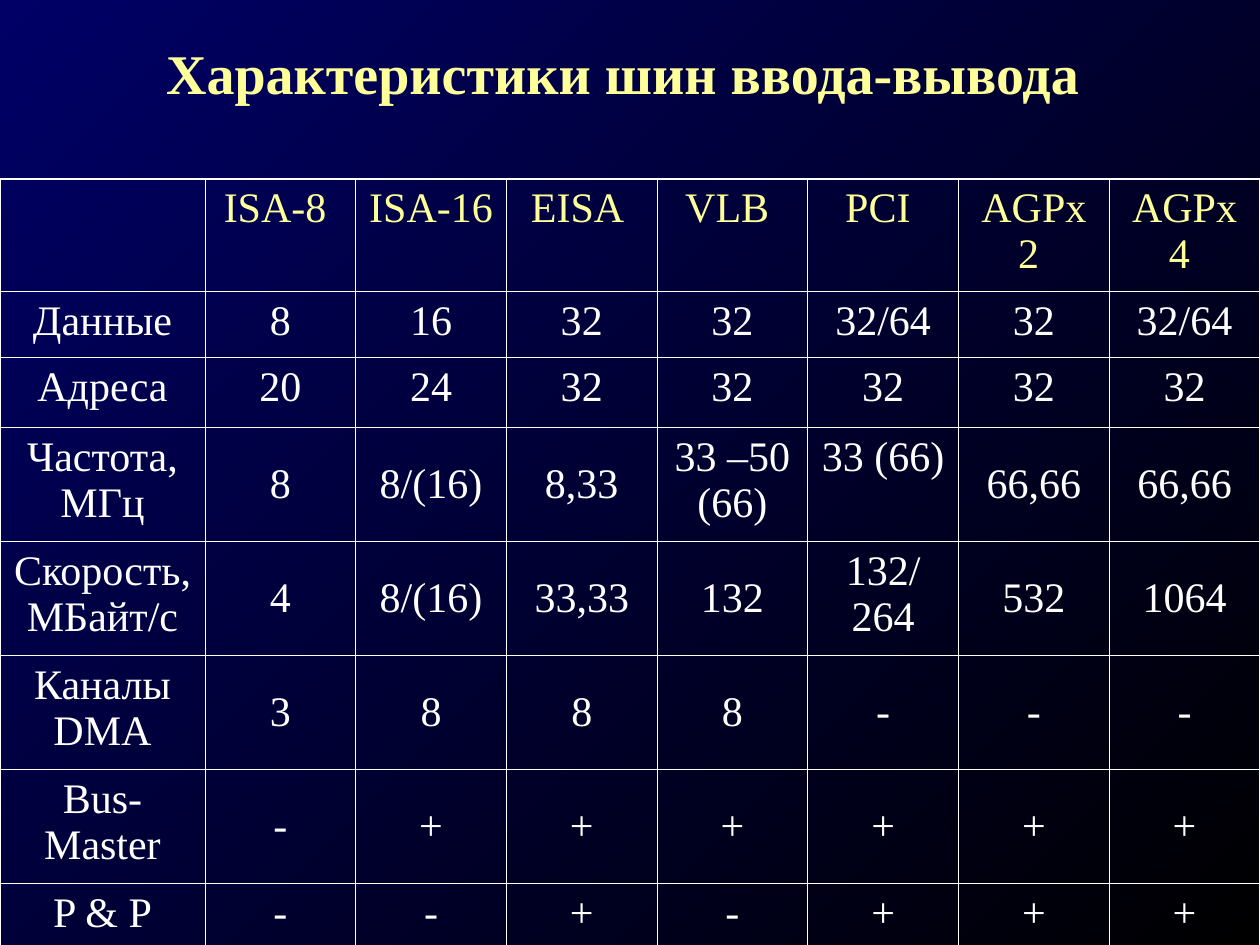
"""Build the slide comparing the characteristics of input-output buses."""
import pptx
import pptx.dml.color
import pptx.enum.text
import pptx.oxml
import pptx.oxml.ns
import pptx.util

TITLE = "Характеристики шин ввода-вывода "
BUSES = ["", "ISA-8 ", "ISA-16 ", "EISA ", "VLB ", "PCI ", "AGPx2 ", "AGPx4 "]
FEATURES = [
    ["Данные", "8", "16", "32", "32", "32/64", "32", "32/64"],
    ["Адреса", "20", "24", "32", "32", "32", "32", "32"],
    ["Частота, МГц", "8", "8/(16)", "8,33", "33 –50 (66)", "33 (66)", "66,66", "66,66"],
    ["Скорость, МБайт/с", "4", "8/(16)", "33,33", "132", "132/ 264", "532", "1064"],
    ["Каналы DMA", "3", "8", "8", "8", "-", "-", "-"],
    ["Bus-Master", "-", "+", "+", "+", "+", "+", "+"],
    ["P & P", "-", "-", "+", "-", "+", "+", "+"],
]
TALL_ROWS = range(3, 7)
TOP_VALUES = {"33 –50 (66)", "33 (66)", "132/ 264"}
TIGHT_LABEL = "Скорость, МБайт/с"

THEME = {
    "font": "Times New Roman",
    "accent": "FFFF99",
    "text": "FFFFFF",
    "line": "FFFFFF",
    "background": ("000066", "000000"),
    "title_size": 32,
    "cell_size": 24,
    "outer_line": 1.08,
    "inner_line": 0.45,
}
SLIDE_WIDTH, SLIDE_HEIGHT = 1260, 945
TITLE_BOX = (94, 32, 1072, 73)
TABLE_TOP = 179
LABEL_WIDTH = 205
ROW_HEIGHTS = [69, 66, 70, 114, 114, 114, 114, 69]
SIDE_INSET, TIGHT_INSET, END_INSET = 13, 5, 6


def px(length):
    return pptx.util.Emu(round(length * 914400 / 126))


def style(paragraph, size, color, bold=False):
    paragraph.alignment = pptx.enum.text.PP_ALIGN.CENTER
    for run in paragraph.runs:
        run.font.name = THEME["font"]
        run.font.size = pptx.util.Pt(size)
        run.font.bold = bold
        run.font.color.rgb = pptx.dml.color.RGBColor.from_string(color)


def draw_borders(cell, outer_sides):
    properties = cell._tc.get_or_add_tcPr()
    for side in "LRTB":
        weight = THEME["outer_line" if side in outer_sides else "inner_line"]
        properties.append(pptx.oxml.parse_xml(
            f'<a:ln{side} {pptx.oxml.ns.nsdecls("a")} w="{pptx.util.Pt(weight)}">'
            f'<a:solidFill><a:srgbClr val="{THEME["line"]}"/></a:solidFill></a:ln{side}>'))


def paint_background(slide):
    fill = slide.background.fill
    fill.gradient()
    fill.gradient_angle = 315
    for stop, color in zip(fill.gradient_stops, THEME["background"]):
        stop.color.rgb = pptx.dml.color.RGBColor.from_string(color)


def add_title(slide):
    title = slide.shapes.add_textbox(*map(px, TITLE_BOX)).text_frame
    title.word_wrap = True
    title.text = TITLE
    style(title.paragraphs[0], THEME["title_size"], THEME["accent"], bold=True)


def fill_cell(cell, content, row, column, last_row, last_column):
    cell.text = content
    style(cell.text_frame.paragraphs[0], THEME["cell_size"],
          THEME["text"] if row else THEME["accent"])
    inset = TIGHT_INSET if content == TIGHT_LABEL else SIDE_INSET
    cell.margin_left = cell.margin_right = px(inset)
    cell.margin_top = cell.margin_bottom = px(END_INSET)
    centred = row in TALL_ROWS and column and content not in TOP_VALUES
    anchor = pptx.enum.text.MSO_ANCHOR
    cell.vertical_anchor = anchor.MIDDLE if centred else anchor.TOP
    edges = {"L": column == 0, "R": column == last_column,
             "T": row == 0, "B": row == last_row}
    draw_borders(cell, [side for side, outer in edges.items() if outer])
    cell.fill.background()


def add_comparison(slide):
    rows = [BUSES] + FEATURES
    last_row, last_column = len(rows) - 1, len(BUSES) - 1
    comparison = slide.shapes.add_table(
        len(rows), len(BUSES), 0, px(TABLE_TOP), px(SLIDE_WIDTH), px(sum(ROW_HEIGHTS))).table
    comparison.first_row = comparison.horz_banding = False
    bus_width = (SLIDE_WIDTH - LABEL_WIDTH) / last_column
    for index, column in enumerate(comparison.columns):
        column.width = px(bus_width if index else LABEL_WIDTH)
    for row, (contents, height) in enumerate(zip(rows, ROW_HEIGHTS)):
        comparison.rows[row].height = px(height)
        for column, content in enumerate(contents):
            fill_cell(comparison.cell(row, column), content, row, column, last_row, last_column)


def main():
    deck = pptx.Presentation()
    deck.slide_width, deck.slide_height = px(SLIDE_WIDTH), px(SLIDE_HEIGHT)
    slide = deck.slides.add_slide(deck.slide_layouts[6])
    paint_background(slide)
    add_title(slide)
    add_comparison(slide)
    deck.save("out.pptx")


if __name__ == "__main__":
    main()
